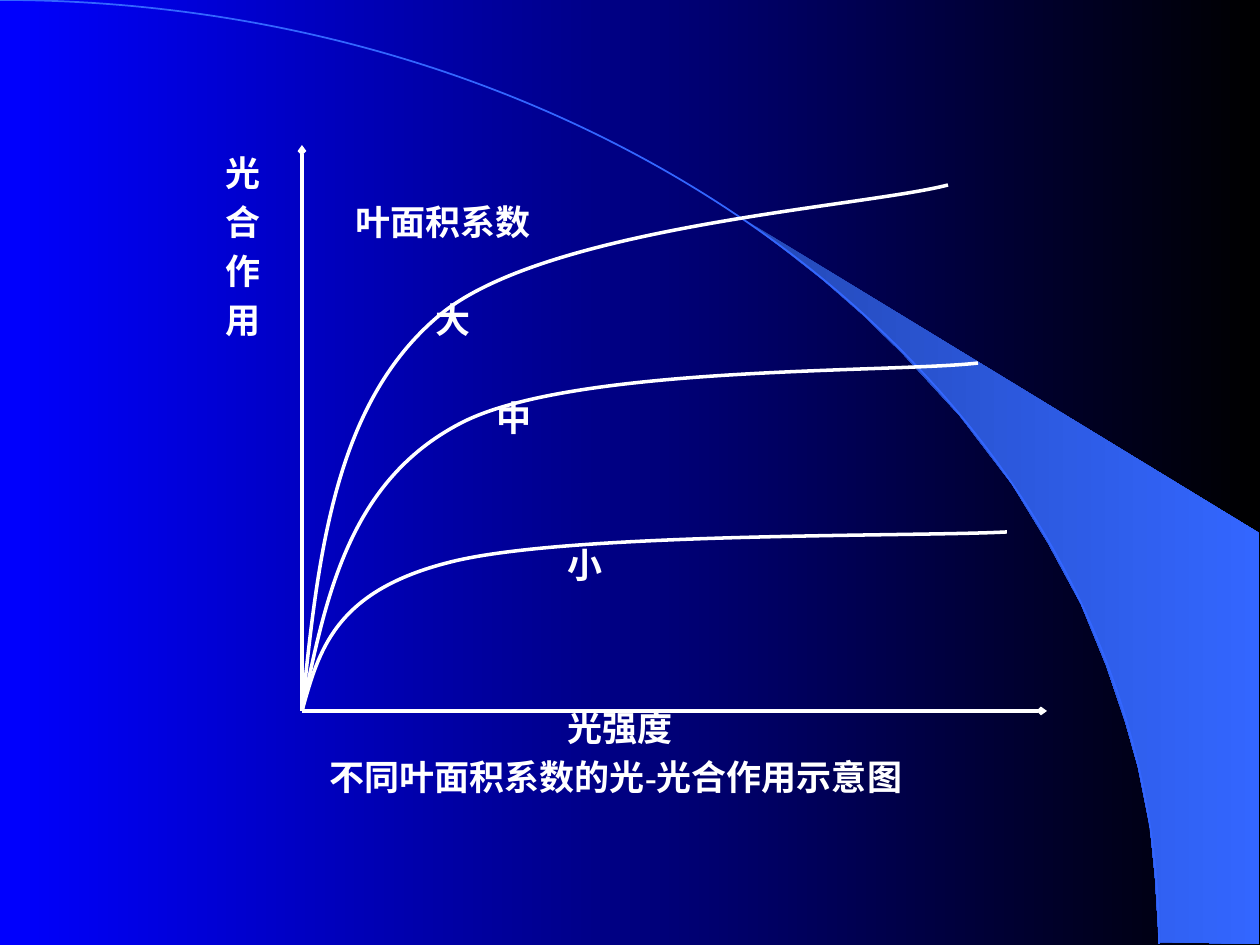
from lxml import etree
from pptx import Presentation
from pptx import util as u
from pptx.dml.color import RGBColor
from pptx.enum import lang, shapes, text
from pptx.oxml.ns import qn

PX = 914400 / 126
WHITE, SKY = "FFFFFF", "3366FF"


def px(n):
    return u.Emu(round(n * PX))


def rgb(hex_code):
    return RGBColor.from_string(hex_code)


def set_gradient(fill, start, end):
    """Fill from left to right."""
    fill.gradient()
    fill.gradient_angle = 0
    for stop, color in zip(fill.gradient_stops, (start, end)):
        stop.color.rgb = rgb(color)


def set_line(line, color, points):
    line.color.rgb = rgb(color)
    line.width = u.Pt(points)


def add_outline(slide, box, points, close):
    left, top = box[:2]
    (x, y), *rest = [(left + a, top + b) for a, b in points]
    builder = slide.shapes.build_freeform(x, y, scale=PX)
    builder.add_line_segments(rest, close=close)
    outline = builder.convert_to_shape()
    outline.shadow.inherit = False
    return outline


def add_curve(slide, box, knots, color, points):
    """Draw a chain of cubic segments that share their end knots."""
    curve = add_outline(slide, box, knots, close=False)
    curve.fill.background()
    set_line(curve.line, color, points)
    corners = list(curve._element.iter(qn("a:lnTo")))
    for i in range(0, len(corners), 3):
        segment = etree.Element(qn("a:cubicBezTo"))
        corners[i].addprevious(segment)
        for corner in corners[i:i + 3]:
            segment.append(corner[0])
            corner.getparent().remove(corner)


def add_axis(slide, start, end):
    axis = slide.shapes.add_connector(
        shapes.MSO_CONNECTOR.STRAIGHT, *map(px, start + end))
    set_line(axis.line, WHITE, 2)
    etree.SubElement(axis.line._get_or_add_ln(), qn("a:tailEnd"),
                     type="arrow", w="sm", len="sm")
    etree.SubElement(axis._element.spPr, qn("a:effectLst"))


def add_labels(slide, box):
    """Set all labels in one box: (indent px, space before pt, text)."""
    frame = slide.shapes.add_textbox(*map(px, box)).text_frame
    frame.word_wrap = True
    frame.vertical_anchor = text.MSO_ANCHOR.TOP
    labels = [
        (0, 0, "光"),
        (130, 4, "合\t叶面积系数"),
        (0, 4, "作"),
        (210, 4, "用\t大"),
        (271, 32, "中"),
        (342, 60, "小"),
        (342, 69, "光强度"),
        (104, 4, "不同叶面积系数的光-光合作用示意图"),
    ]
    frame.text = "\n".join(label for *_, label in labels)
    for paragraph, (indent, gap, label) in zip(frame.paragraphs, labels):
        props = paragraph._p.get_or_add_pPr()
        if "\t" in label:
            tabs = etree.SubElement(props, qn("a:tabLst"))
            etree.SubElement(tabs, qn("a:tab"), pos=str(px(indent)), algn="l")
        else:
            props.set("marL", str(px(indent)))
        paragraph.space_before = u.Pt(gap)
        for run in paragraph.runs:
            font = run.font
            font.name, font.size, font.bold = "Times New Roman", u.Pt(20), True
            font.color.rgb = rgb(WHITE)
            font.language_id = lang.MSO_LANGUAGE_ID.SIMPLIFIED_CHINESE


def add_backdrop(slide, box):
    set_gradient(slide.background.fill, "0000FF", "000000")
    beam = add_outline(slide, box, [
        (1159, 942), (1259, 944), (1259, 533), (742, 218), (786, 251),
        (823, 280), (863, 315), (902, 353), (960, 416), (1012, 484),
        (1048, 543), (1081, 604), (1106, 665), (1125, 721), (1138, 767),
        (1150, 827), (1155, 877), (1159, 942)], close=False)
    set_gradient(beam.fill, "2449B6", SKY)
    beam.line.fill.background()
    add_curve(slide, box, [(0, 0), (640, 0), (1159, 422), (1159, 944)], SKY, 1)


def add_light_response(slide, box):
    left, top, width, height = box
    add_labels(slide, (left - 89, top, 912, 714))

    origin = (left, top + height)
    add_axis(slide, origin, (left + width, top + height))
    add_axis(slide, origin, (left, top))

    small = [(17, 506), (32, 446), (149, 417), (268, 387), (613, 392), (705, 387)]
    medium = [(24, 451), (47, 336), (159, 278), (271, 220), (589, 228), (676, 218)]
    large = [(16, 411), (32, 257), (139, 169), (247, 81), (561, 62), (646, 40)]
    for knots in (small, medium, large):
        add_curve(slide, box, [(0, height)] + knots, WHITE, 2)


def main():
    prs = Presentation()
    prs.slide_width, prs.slide_height = px(1260), px(945)
    slide = prs.slides.add_slide(prs.slide_layouts[6])
    add_backdrop(slide, (0, 0, 1260, 945))
    add_light_response(slide, (302, 145, 745, 566))
    prs.save("out.pptx")


if __name__ == "__main__":
    main()
